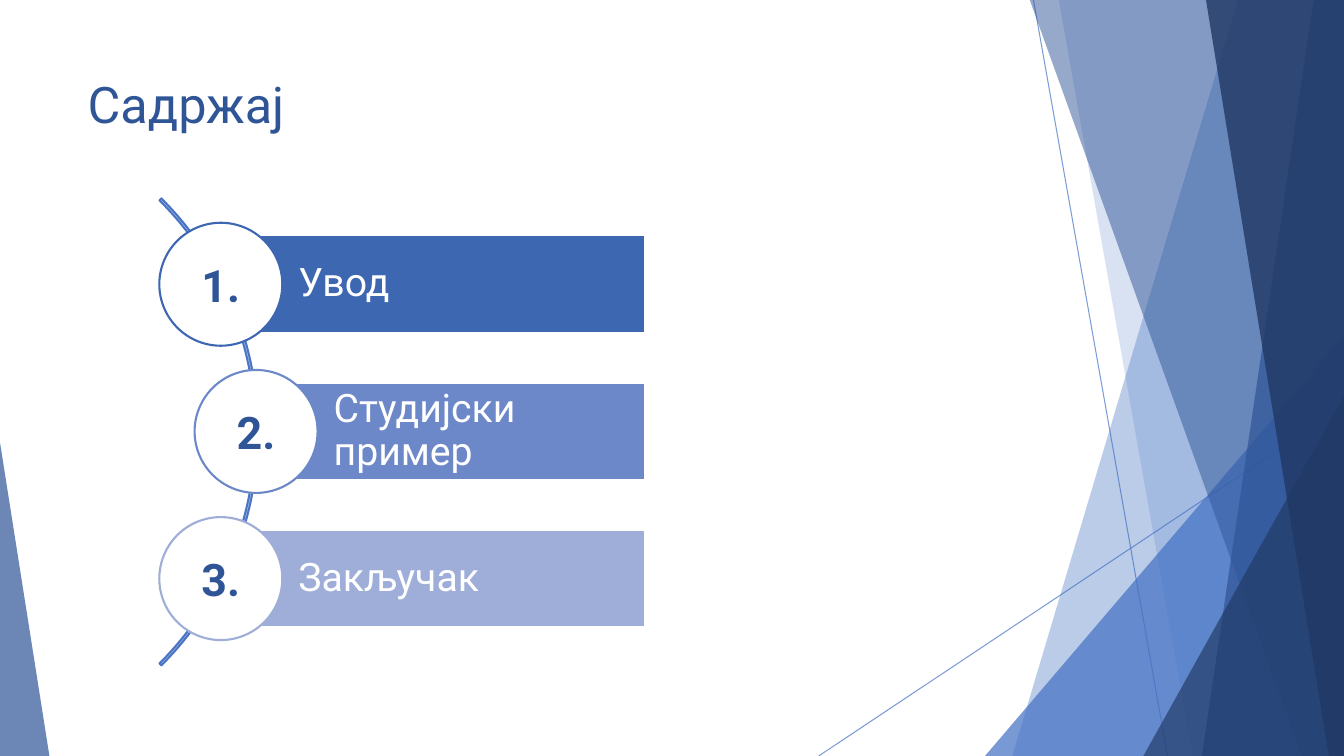
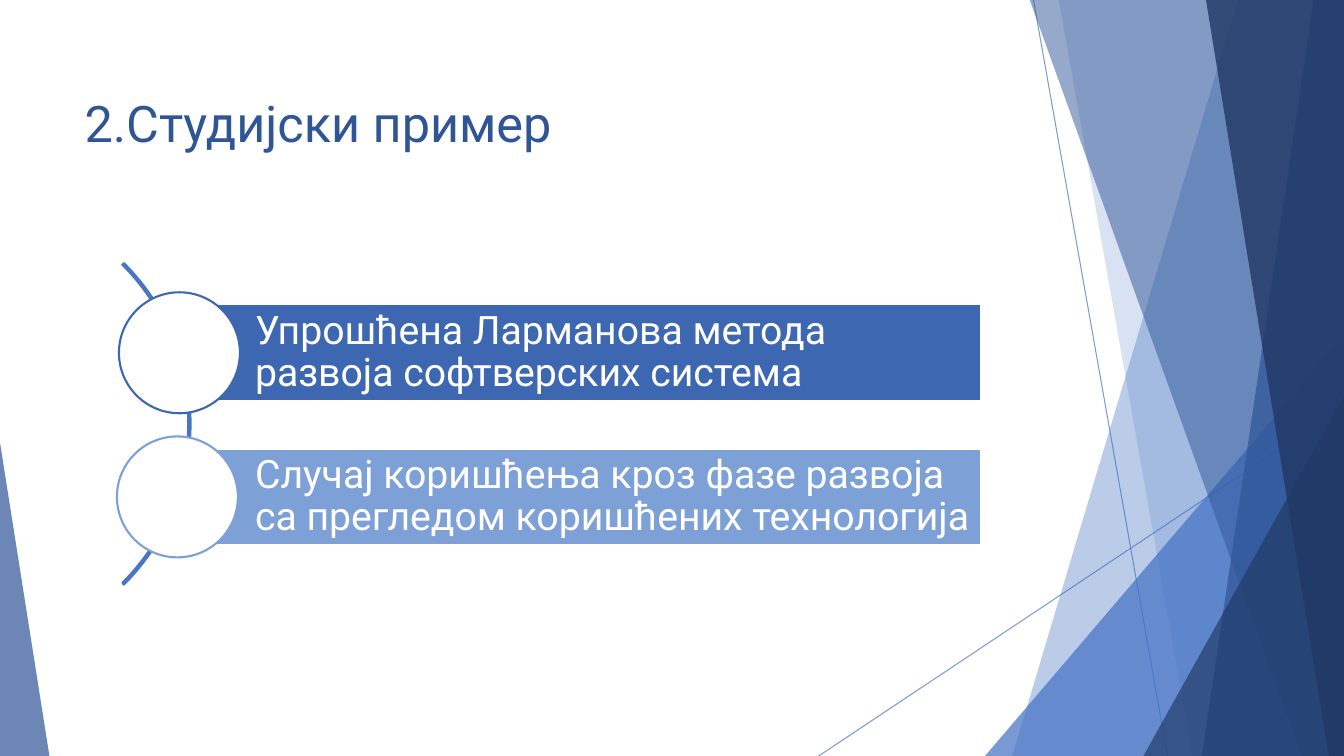
from dataclasses import dataclass

from lxml import etree
from pptx import Presentation
from pptx.dml.color import RGBColor
from pptx.enum import shapes, text
from pptx.oxml.ns import qn
from pptx.util import Inches, Pt


@dataclass(frozen=True)
class Theme:
    font: str = "Roboto"
    title_size: int = 36
    number_size: int = 32
    bar_size: int = 28
    outline: float = 1.5
    hairline: float = 0.75
    white: str = "FFFFFF"
    blue: str = "4472C4"
    dark: str = "2F5597"
    navy: str = "203864"
    arc: str = "4A75C5"
    bar_1: str = "3E67B2"
    bar_2: str = "6C88C8"
    bar_3: str = "9FAED8"
    bar_light: str = "7DA0D7"


T = Theme()
SHAPE = shapes.MSO_SHAPE
W, H = 13.33, 7.5


def paint(sp, fill=None, line=None, alpha=100):
    """Set fill and outline; alpha is the opacity of the fill in percent."""
    sp.shadow.inherit = False
    if fill:
        sp.fill.solid()
        sp.fill.fore_color.rgb = RGBColor.from_string(fill)
        if alpha < 100:
            color = sp.element.spPr.find(".//" + qn("a:srgbClr"))
            etree.SubElement(color, qn("a:alpha"), val=str(alpha * 1000))
    else:
        sp.fill.background()
    if line:
        sp.line.color.rgb = RGBColor.from_string(line)
        sp.line.width = Pt(T.outline)
    else:
        sp.line.fill.background()


def write(sp, words, size, color, align, anchor, bold=False):
    tf = sp.text_frame
    tf.text = words
    tf.word_wrap = True
    tf.auto_size = text.MSO_AUTO_SIZE.NONE
    tf.vertical_anchor = anchor
    p = tf.paragraphs[0]
    p.alignment = align
    p.font.name = T.font
    p.font.size = Pt(size)
    p.font.bold = bold
    p.font.color.rgb = RGBColor.from_string(color)
    return tf


prs = Presentation()
prs.slide_width, prs.slide_height = Inches(W), Inches(H)
layout = prs.slide_layouts[5]
for ph in list(layout.placeholders):
    if ph.placeholder_format.type != shapes.PP_PLACEHOLDER.TITLE:
        ph.element.getparent().remove(ph.element)

AGENDA = dict(
    title="Садржај", title_box=(0.77, 0.68, 9.37, 1.6), title_anchor=text.MSO_ANCHOR.TOP,
    arc=(-3.99, 1.01, 6.55, 0.004), bar_right=6.4, bar_height=0.97, inset=0.77, circle=1.22,
    top=2.82, pitch=1.46,
    # bar left, circle centre, colour, number, words
    rows=[(2.19, 2.19, T.bar_1, "1.", "Увод"),
          (2.54, 2.54, T.bar_2, "2.", "Студијски пример"),
          (2.19, 2.19, T.bar_3, "3.", "Закључак")])
CASE_STUDY = dict(
    title="2.Студијски пример", title_box=(0.74, 0.67, 4.99, 1.08),
    title_anchor=text.MSO_ANCHOR.MIDDLE,
    arc=(-2.62, 1.95, 4.51, 0.005), bar_right=9.73, bar_height=0.96, inset=0.78, circle=1.2,
    top=3.5, pitch=1.43,
    rows=[(1.75, 1.78, T.bar_1, "", "Упрошћена Ларманова метода развоја софтверских система"),
          (1.75, 1.76, T.bar_light, "",
           "Случај коришћења кроз фазе развоја са прегледом коришћених технологија")])
CONTENT = [AGENDA, CASE_STUDY]
slides = [prs.slides.add_slide(layout) for _ in CONTENT]

# Shared facets: assembled as one group, then placed in the layout
facets = slides[0].shapes.add_group_shape()
for x1, y1, x2, y2 in [(10.25, 0, 11.58, H), (W, 4.03, 8.12, H)]:
    line = facets.shapes.add_connector(
        shapes.MSO_CONNECTOR.STRAIGHT, Inches(x1), Inches(y1), Inches(x2), Inches(y2))
    line.line.color.rgb = RGBColor.from_string(T.blue)
    line.line.width = Pt(T.hairline)
    color = line.element.spPr.find(".//" + qn("a:srgbClr"))
    etree.SubElement(color, qn("a:alpha"), val="70000")
    etree.SubElement(line.element.spPr, qn("a:effectLst"))

# Bands run to the right edge: (top left, bottom left, colour, opacity)
# Triangles: (left, top, width, apex, colour, opacity)
for facet in [(12.28, 10.04, T.blue, 36),
              (10.5, 11.83, T.blue, 20),
              (9.77, 3.33, 3.56, 1, T.blue, 72),
              (10.21, 12.91, T.dark, 50),
              (13.03, 11.92, T.dark, 70),
              (11.96, 13.18, T.navy, 80),
              (11.34, 3.93, 1.99, 1, T.navy, 66),
              (0, 4.39, 0.49, 0, T.dark, 70)]:
    *place, fill, alpha = facet
    if len(place) == 2:
        top_left, bottom_left = place
        outline = facets.shapes.build_freeform(Inches(top_left), Inches(-0.01))
        outline.add_line_segments(
            [(Inches(x), Inches(y)) for x, y in [(W, -0.01), (W, H), (bottom_left, H)]])
        sp = outline.convert_to_shape()
    else:
        left, top, width, apex = place
        sp = facets.shapes.add_shape(SHAPE.ISOSCELES_TRIANGLE, Inches(left), Inches(top),
                                     Inches(width), Inches(H - top))
        sp.adjustments[0] = apex
    paint(sp, fill, alpha=alpha)
layout.shapes.element.insert(2, facets.element)

for s, c in zip(slides, CONTENT):
    title = s.shapes.title
    title.left, title.top, title.width, title.height = map(Inches, c["title_box"])
    write(title, c["title"], T.title_size, T.dark, text.PP_ALIGN.LEFT, c["title_anchor"])

    left, top, size, thickness = c["arc"]
    arc = s.shapes.add_shape(SHAPE.BLOCK_ARC, Inches(left), Inches(top),
                             Inches(size), Inches(size))
    for i, value in enumerate((189, 27, thickness)):  # 315 and 45 degrees
        arc.adjustments[i] = value
    paint(arc, line=T.arc)

    for i, (left, center, color, number, words) in enumerate(c["rows"]):
        middle = c["top"] + i * c["pitch"]
        bar = s.shapes.add_shape(
            SHAPE.RECTANGLE, Inches(left), Inches(middle - c["bar_height"] / 2),
            Inches(c["bar_right"] - left), Inches(c["bar_height"]))
        paint(bar, color, T.white)
        tf = write(bar, words, T.bar_size, T.white, text.PP_ALIGN.LEFT, text.MSO_ANCHOR.MIDDLE)
        tf.margin_left = Inches(c["inset"])
        tf.margin_right = tf.margin_top = tf.margin_bottom = Inches(0.08)
        tf.paragraphs[0].line_spacing = 0.9

        size = c["circle"]
        circle = s.shapes.add_shape(SHAPE.OVAL, Inches(center - size / 2),
                                    Inches(middle - size / 2), Inches(size), Inches(size))
        paint(circle, T.white, color)
        if number:
            write(circle, number, T.number_size, T.dark, text.PP_ALIGN.CENTER,
                  text.MSO_ANCHOR.MIDDLE, bold=True)

prs.save("out.pptx")
